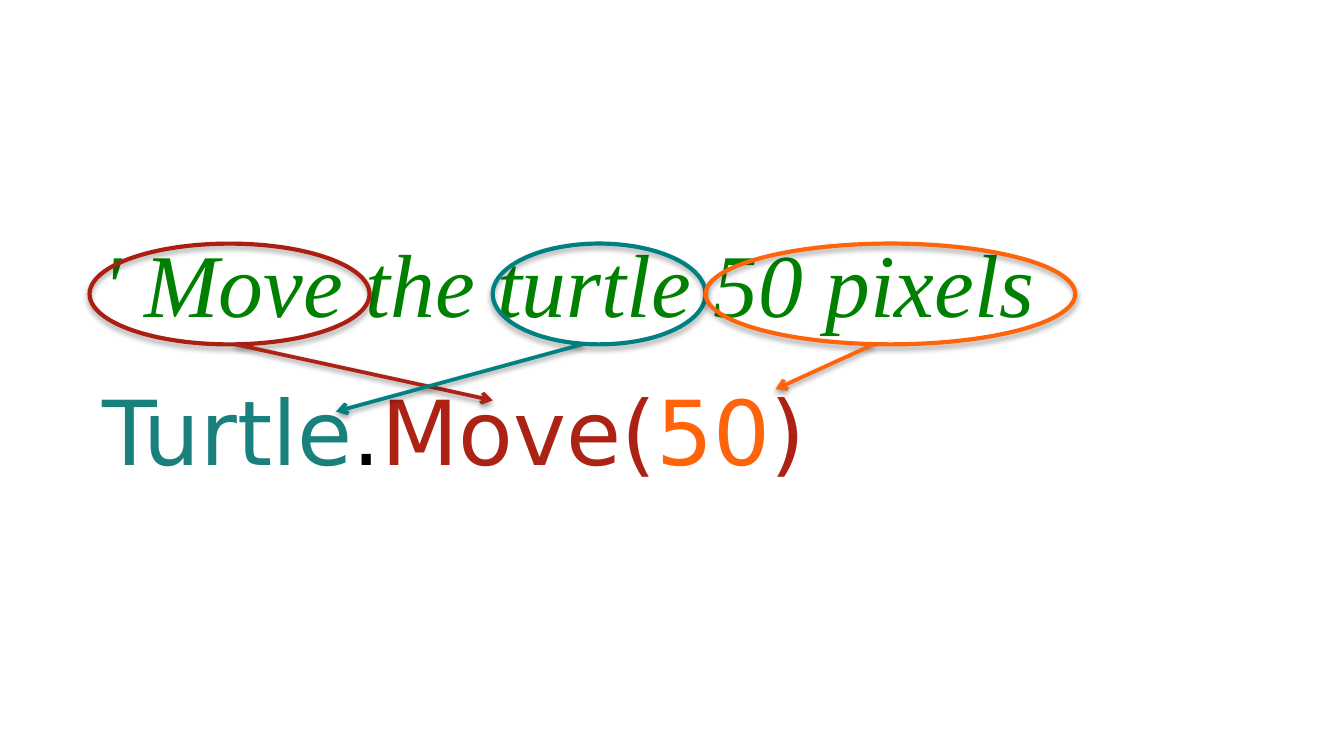
"""Build a slide that ties the words of a comment to the parts of a turtle call."""
from lxml import etree
from pptx import Presentation
from pptx.dml.color import RGBColor
from pptx.enum.shapes import MSO_CONNECTOR, MSO_SHAPE
from pptx.enum.text import MSO_ANCHOR, MSO_AUTO_SIZE
from pptx.oxml import parse_xml
from pptx.oxml.ns import qn
from pptx.util import Inches, Pt

OVAL, LINE = MSO_SHAPE.OVAL, MSO_CONNECTOR.STRAIGHT
TOP, FIXED = MSO_ANCHOR.TOP, MSO_AUTO_SIZE.NONE
SPACE = "http://schemas.openxmlformats.org/drawingml/2006/main"

THEME = {
    "green": "008000", "teal": "008080", "sea": "19807E", "black": "000000",
    "brick": "AC1E10", "red": "AC2214", "orange": "FF640B",
    "serif": "Times New Roman", "sans": "DejaVu Sans",
    "size": Pt(48), "gap": Pt(21.7), "ring": Pt(2.25), "arrow": Pt(2),
}

deck = Presentation()
deck.slide_width = Inches(10)
deck.slide_height = deck.slide_width * 9 // 16
UNIT = deck.slide_width / 120
slide = deck.slides.add_slide(deck.slide_layouts[6])
shapes = slide.shapes


def grid(*cells):
    return [round(cell * UNIT) for cell in cells]


def style(shape, color, width, drop, alpha):
    shape.line.color.rgb = RGBColor.from_string(THEME[color])
    shape.line.width = THEME[width]
    props = shape._element.spPr
    props.append(parse_xml(
        f'<a:effectLst xmlns:a="{SPACE}"><a:outerShdw blurRad="{Pt(3.1)}" '
        f'dist="{Pt(drop)}" dir="5400000" rotWithShape="0"><a:srgbClr val="000000">'
        f'<a:alpha val="{alpha * 1000}"/></a:srgbClr></a:outerShdw></a:effectLst>'))


box = shapes.add_textbox(*grid(8, 19.75, 98, 24.25))
frame = box.text_frame
format = {"word_wrap": True, "auto_size": FIXED, "vertical_anchor": TOP}
for name, value in format.items():
    setattr(frame, name, value)

lines = [
    ("serif", True, 0, [("' Move the turtle 50 pixels", "green")]),
    ("sans", False, THEME["gap"], [("Turtle", "sea"), (".", "black"),
                                   ("Move(", "red"), ("50", "orange"), (")", "red")]),
]
for index, (face, slant, gap, parts) in enumerate(lines):
    para = frame.add_paragraph() if index else frame.paragraphs[0]
    para.space_before = gap
    for text, color in parts:
        run = para.add_run()
        run.text = text
        format = {"name": THEME[face], "size": THEME["size"], "italic": slant}
        for name, value in format.items():
            setattr(run.font, name, value)
        run.font.color.rgb = RGBColor.from_string(THEME[color])

ring_top, ring_high = 21.75, 9
for left, wide, color in [(8, 25, "brick"), (44, 19, "teal"), (63, 33, "orange")]:
    ring = shapes.add_shape(OVAL, *grid(left, ring_top, wide, ring_high))
    ring.fill.background()
    style(ring, color, "ring", 1.8, 35)

start = ring_top + ring_high
for left, right, end, color in [(21, 44, 35.75, "red"), (52, 30, 36.75, "teal"),
                                (78, 69.25, 34.75, "orange")]:
    arrow = shapes.add_connector(LINE, *grid(left, start, right, end))
    style(arrow, color, "arrow", 1.6, 38)
    etree.SubElement(arrow.line._get_or_add_ln(), qn("a:tailEnd"), type="arrow")

deck.save("out.pptx")
